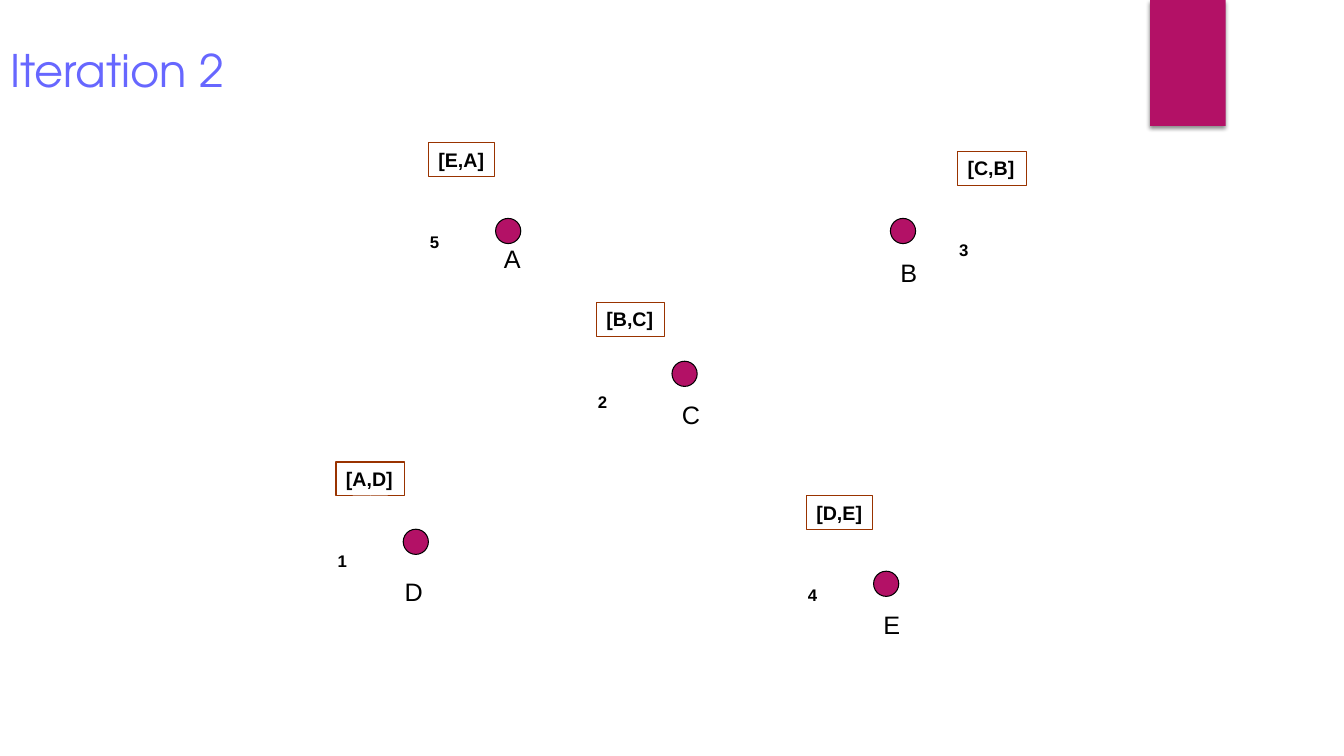
from lxml import etree
from pptx import Presentation
from pptx import util as u
from pptx.dml import color
from pptx.enum import shapes, text
from pptx.oxml import ns

MAGENTA, BROWN, BLACK, VIOLET = "B31166", "993300", "000000", "6767FF"
DOT_SIZE = 18
BOX_OFFSET = (6, -60)

NODES = [
    ("A", (354, 156), (352.8, 170.6), 26.6),
    ("B", (636, 156), (636, 180), 26.6),
    ("C", (480, 258), (480, 282), 27.4),
    ("D", (288, 378), (282, 408), 27.4),
    ("E", (624, 408), (624, 432), 26.6),
]
STEPS = [
    ("3", "[C,B]", (678, 168), 49),
    ("5", "[E,A]", (300, 162), 47.5),
    ("1", "[A,D]", (234, 390), 49),
    ("2", "[B,C]", (420, 276), 49),
    ("4", "[D,E]", (570, 414), 47.5),
]


def rgb(value):
    return color.RGBColor.from_string(value)


def points(*values):
    return [u.Pt(value) for value in values]


def apply_format(target, values):
    for name, value in values.items():
        setattr(target, name, value)


def write_text(shape, words, size, font="Arial", colour=BLACK, bold=False):
    frame = shape.text_frame
    frame.text = words
    paragraph = frame.paragraphs[0]
    paragraph.alignment = text.PP_ALIGN.LEFT
    run_font = paragraph.runs[0].font
    apply_format(run_font, {"name": font, "size": u.Pt(size), "bold": bold})
    run_font.color.rgb = rgb(colour)


def add_label(parent, words, position, extent, size, bold=False, border=None):
    shape = parent.add_textbox(*points(*position, *extent))
    write_text(shape, words, size, bold=bold)
    apply_format(shape.text_frame, {
        "word_wrap": False,
        "auto_size": text.MSO_AUTO_SIZE.SHAPE_TO_FIT_TEXT,
        "vertical_anchor": text.MSO_ANCHOR.TOP,
    })
    if border:
        set_line(shape, border)


def set_line(shape, colour):
    shape.line.color.rgb = rgb(colour)
    shape.line.width = u.Pt(0.75)


def add_filled(slide, kind, position, extent):
    shape = slide.shapes.add_shape(kind, *points(*position, *extent))
    shape.shadow.inherit = False
    shape.fill.solid()
    shape.fill.fore_color.rgb = rgb(MAGENTA)
    shape.line.fill.background()
    return shape


def add_banner(slide):
    banner = add_filled(slide, shapes.MSO_SHAPE.RECTANGLE, (821.5, 0), (54, 90))
    effects = banner._element.spPr.find(ns.qn("a:effectLst"))
    shadow = etree.SubElement(
        effects, ns.qn("a:outerShdw"), blurRad=str(u.Pt(3)), dist=str(u.Pt(2)),
        dir="5400000", rotWithShape="0")
    shade = etree.SubElement(shadow, ns.qn("a:srgbClr"), val=BLACK)
    etree.SubElement(shade, ns.qn("a:alpha"), val="45000")


def set_title(slide, words):
    title = slide.shapes.title
    left, top, width, height = points(0, 21.6, 648, 56)
    apply_format(title, {"left": left, "top": top, "width": width, "height": height})
    write_text(title, words, 32, "TeX Gyre Adventor", VIOLET)
    apply_format(title.text_frame, {
        "word_wrap": True,
        "auto_size": text.MSO_AUTO_SIZE.NONE,
        "vertical_anchor": text.MSO_ANCHOR.MIDDLE,
    })


def add_node(slide, name, dot_position, label_position, label_width):
    dot = add_filled(slide, shapes.MSO_SHAPE.OVAL, dot_position, (DOT_SIZE, DOT_SIZE))
    set_line(dot, BLACK)
    add_label(slide.shapes, name, label_position, (label_width, 29), 18)


def add_step(slide, number, path_text, position, box_width):
    group = slide.shapes.add_group_shape()
    box_position = [start + shift for start, shift in zip(position, BOX_OFFSET)]
    add_label(group.shapes, number, position, (21, 21.8), 12, bold=True)
    add_label(group.shapes, path_text, box_position, (box_width, 24.3), 14,
              bold=True, border=BROWN)


def main():
    presentation = Presentation()
    presentation.slide_width, presentation.slide_height = points(960, 540)
    slide = presentation.slides.add_slide(presentation.slide_layouts[5])
    add_banner(slide)
    set_title(slide, "Iteration 2")
    for node in NODES:
        add_node(slide, *node)
    for step in STEPS:
        add_step(slide, *step)
    presentation.save("out.pptx")


if __name__ == "__main__":
    main()
